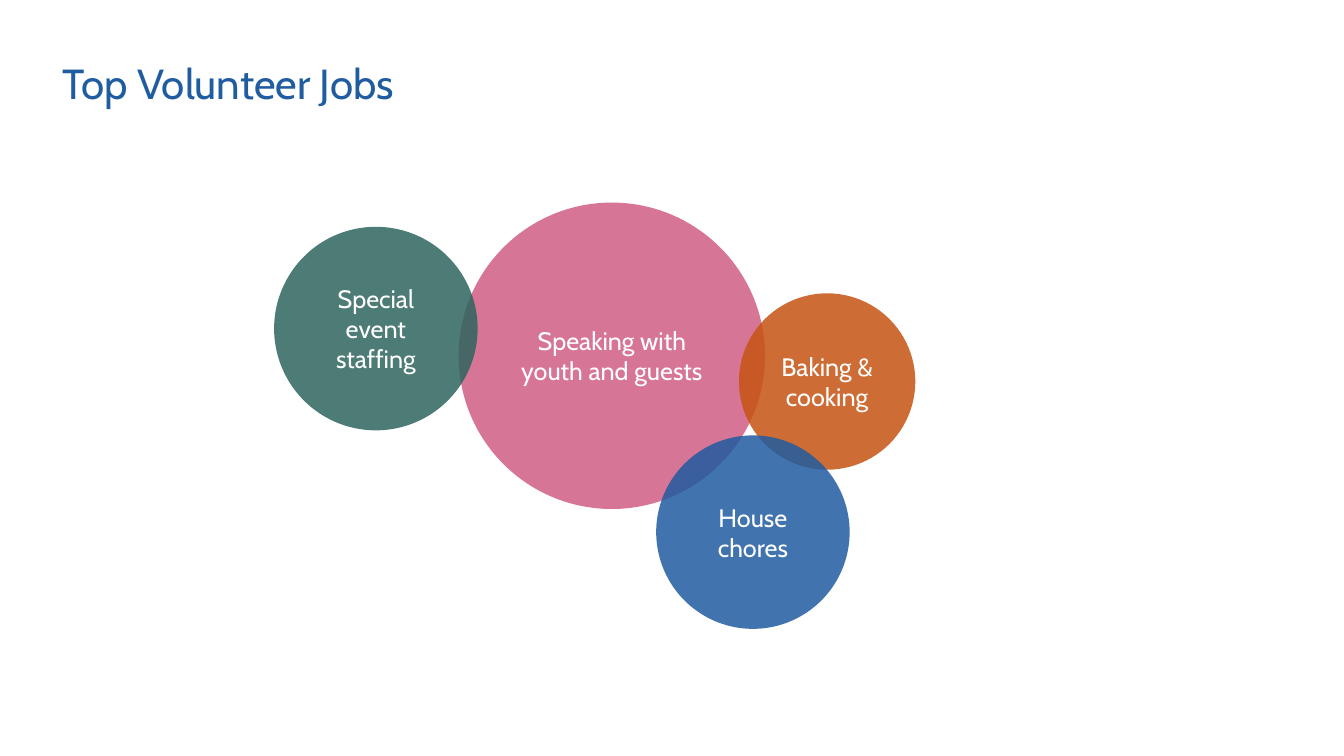
from pptx import Presentation
from pptx.dml.color import RGBColor
from pptx.enum.shapes import MSO_SHAPE
from pptx.enum.text import MSO_ANCHOR as Anchor, PP_ALIGN as Align
from pptx.oxml.ns import qn
from pptx.util import Pt
from lxml.etree import SubElement

HEADING = "Top Volunteer Jobs"
BLUE = "205CA0"
JOBS = [
    ("Speaking with youth and guests", 327.6, 144.7, 218.9, "D15D84"),
    ("Baking & cooking", 527.8, 209.5, 126, "C65312"),
    ("Special event staffing", 195.8, 162, 145.4, "2E655E"),
    ("House chores", 468.7, 311, 138.2, BLUE),
]
OPACITY = 85
HEADING_FRAME = {
    "word_wrap": True, "vertical_anchor": Anchor.BOTTOM,
    "margin_left": 0, "margin_top": 0, "margin_right": 0, "margin_bottom": 0,
}
JOB_FRAME = {"word_wrap": True, "vertical_anchor": Anchor.MIDDLE}


def color(hex_value):
    return RGBColor.from_string(hex_value)


def write(shape, words, size, ink, frame_format, paragraph_format):
    frame = shape.text_frame
    for name, value in frame_format.items():
        setattr(frame, name, value)
    paragraph = frame.paragraphs[0]
    paragraph.text = words
    for name, value in paragraph_format.items():
        setattr(paragraph, name, value)
    for name, value in {"name": "Cabin", "size": Pt(size)}.items():
        setattr(paragraph.font, name, value)
    paragraph.font.color.rgb = color(ink)


def add_job(slide, job, left, top, diameter, hue):
    circle = slide.shapes.add_shape(
        MSO_SHAPE.OVAL, Pt(left), Pt(top), Pt(diameter), Pt(diameter))
    circle.shadow.inherit = False
    circle.line.fill.background()
    circle.fill.solid()
    circle.fill.fore_color.rgb = color(hue)
    tint = circle.fill._xPr.find(qn("a:solidFill"))[0]
    SubElement(tint, qn("a:alpha")).set("val", str(OPACITY * 1000))
    write(circle, job, 18, "FFFFFF", JOB_FRAME, {"alignment": Align.CENTER})


def main():
    deck = Presentation()
    deck.slide_width, deck.slide_height = Pt(960), Pt(540)
    slide = deck.slides.add_slide(deck.slide_layouts[6])
    heading = slide.shapes.add_textbox(Pt(44.6), Pt(42.5), Pt(869.8), Pt(35.3))
    write(heading, HEADING, 30, BLUE, HEADING_FRAME, {"line_spacing": 0.95})
    for job in JOBS:
        add_job(slide, *job)
    deck.save("out.pptx")


if __name__ == "__main__":
    main()
